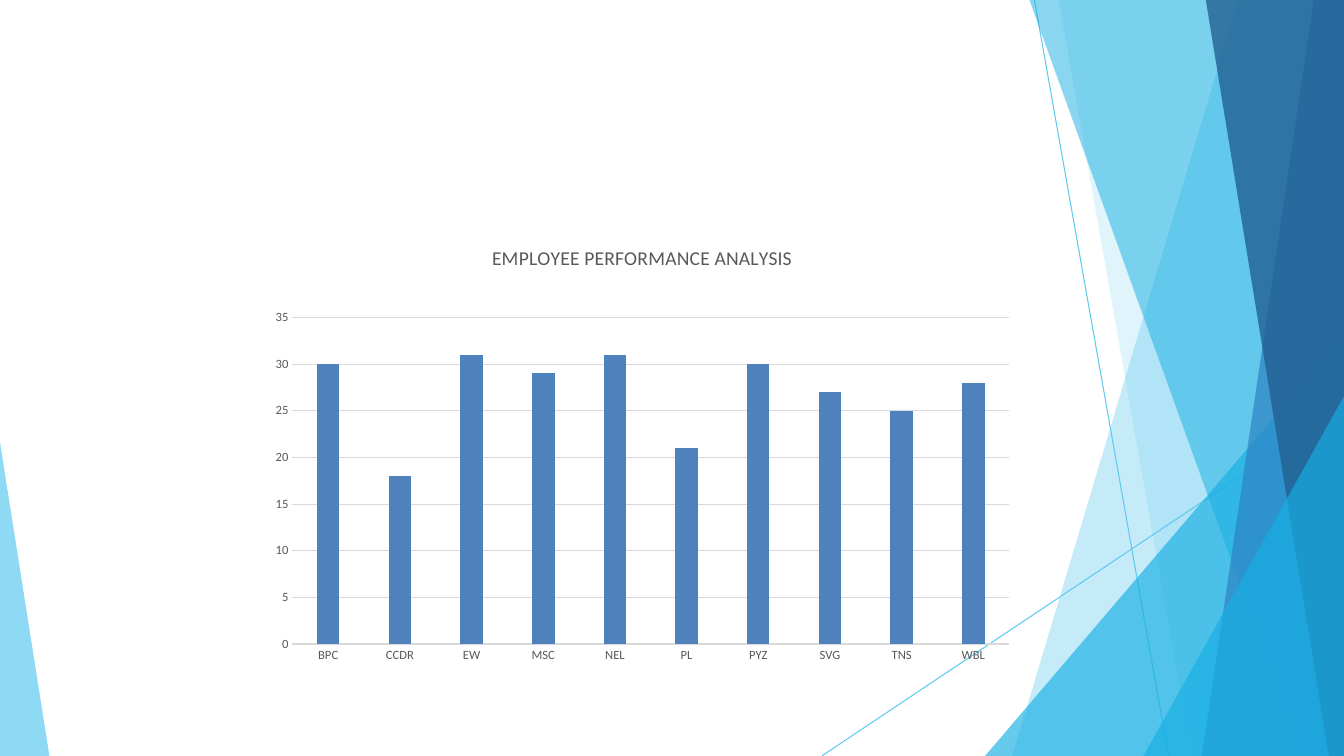
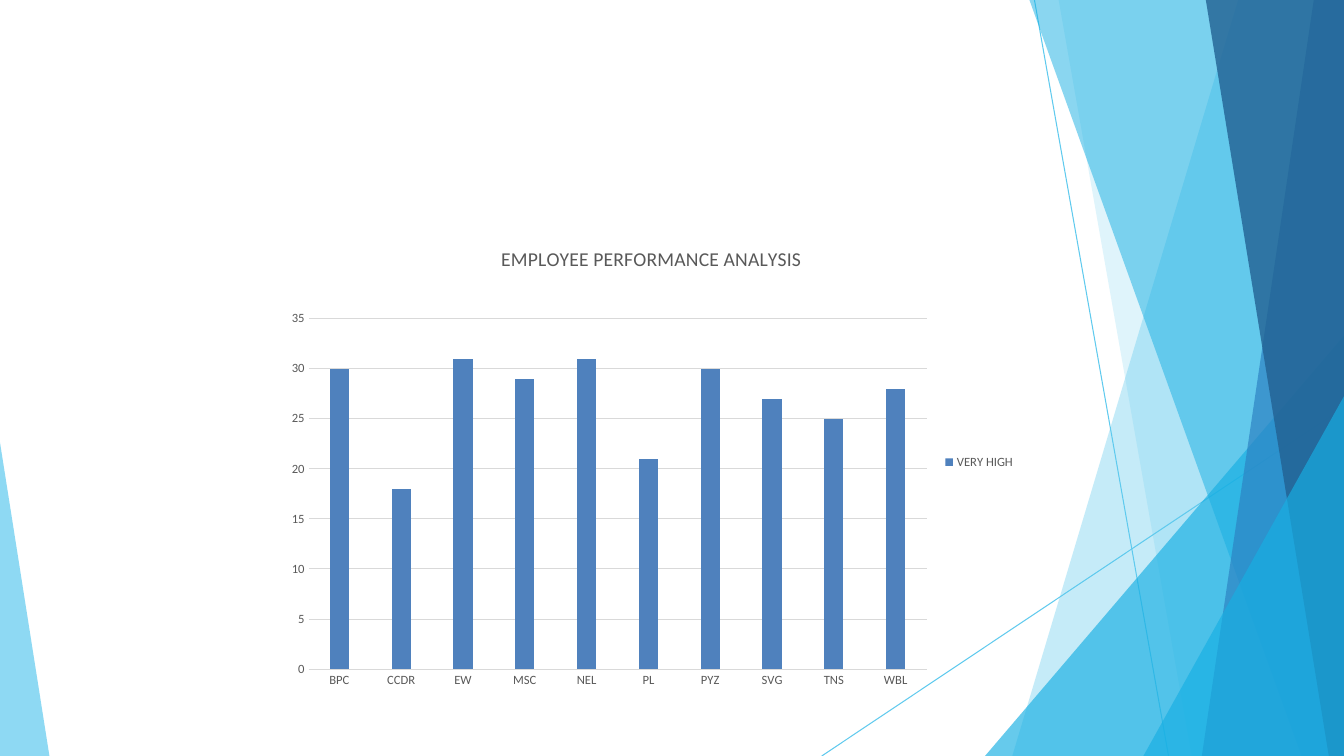
from dataclasses import dataclass

import pptx
import pptx.chart.data
import pptx.dml.color
import pptx.enum.chart
import pptx.enum.shapes
import pptx.oxml.ns
import pptx.oxml.xmlchemy
import pptx.util

Inches = pptx.util.Inches
Pt = pptx.util.Pt
qn = pptx.oxml.ns.qn
OxmlElement = pptx.oxml.xmlchemy.OxmlElement


@dataclass(frozen=True)
class Theme:
    font: str = "Calibri"
    sky: str = "5FCAEE"
    cyan: str = "17AFE3"
    blue: str = "2D83C3"
    navy: str = "226192"
    bar: str = "4F81BD"
    text: str = "595959"
    grid: str = "D9D9D9"
    title_size: int = 14
    label_size: int = 9
    line_width: float = 0.75


THEME = Theme()
W, H = 13.33, 7.5

RAYS = [((10.26, 0), (11.59, H)), ((W, 4.04), (8.15, H))]
FACETS = [  # colour, opacity in percent, corners
    (THEME.sky, 36, [(W, 0), (12.28, 0), (10.04, H), (W, H)]),
    (THEME.sky, 20, [(W, 0), (10.5, 0), (11.82, H), (W, H)]),
    (THEME.cyan, 66, [(W, 3.33), (9.77, H), (W, H)]),
    (THEME.cyan, 50, [(W, 0), (10.21, 0), (12.91, H), (W, H)]),
    (THEME.blue, 70, [(W, 0), (13.03, 0), (11.92, H), (W, H)]),
    (THEME.navy, 80, [(W, 0), (11.96, 0), (13.18, H), (W, H)]),
    (THEME.cyan, 66, [(W, 3.93), (11.34, H), (W, H)]),
    (THEME.sky, 70, [(0, 4.39), (0, H), (0.49, H)]),
]

TITLE = "EMPLOYEE PERFORMANCE ANALYSIS"
SCORES = {"BPC": 30, "CCDR": 18, "EW": 31, "MSC": 29, "NEL": 31,
          "PL": 21, "PYZ": 30, "SVG": 27, "TNS": 25, "WBL": 28}


def rgb(value):
    return pptx.dml.color.RGBColor.from_string(value)


def style_line(line, color):
    line.color.rgb = rgb(color)
    line.width = Pt(THEME.line_width)


def style_font(font, size):
    font.name = THEME.font
    font.size = Pt(size)
    font.bold = False
    font.color.rgb = rgb(THEME.text)


def add_ray(slide, start, end):
    ends = [Inches(v) for v in (*start, *end)]
    ray = slide.shapes.add_connector(
        pptx.enum.shapes.MSO_CONNECTOR.STRAIGHT, *ends)
    style_line(ray.line, THEME.sky)
    ray.element.spPr.append(OxmlElement("a:effectLst"))
    return ray


def add_facet(slide, color, opacity, corners):
    points = [(Inches(x), Inches(y)) for x, y in corners]
    builder = slide.shapes.build_freeform(*points[0])
    builder.add_line_segments(points[1:], close=True)
    sp = builder.convert_to_shape()
    sp.shadow.inherit = False
    sp.line.fill.background()
    sp.fill.solid()
    sp.fill.fore_color.rgb = rgb(color)
    alpha = OxmlElement("a:alpha")
    alpha.set("val", str(opacity * 1000))
    next(sp.element.iter(qn("a:srgbClr"))).append(alpha)
    return sp


def add_backdrop(slide):
    """Draw the facets and move them to the layout, so every slide shows them."""
    shapes = [add_ray(slide, *ray) for ray in RAYS]
    shapes += [add_facet(slide, *facet) for facet in FACETS]
    tree = slide.slide_layout.shapes.element
    for number, sp in enumerate(shapes, start=100):
        next(sp.element.iter(qn("p:cNvPr"))).set("id", str(number))
        tree.append(sp.element)


def place_plot(chart, frame, plot):
    """Fix the inner plot area; both boxes are left, top, width, height."""
    area = next(chart.element.iter(qn("c:plotArea")))
    for old in area.findall(qn("c:layout")):
        area.remove(old)
    layout = OxmlElement("c:layout")
    manual = OxmlElement("c:manualLayout")
    layout.append(manual)
    left, top, width, height = frame
    settings = {
        "layoutTarget": "inner", "xMode": "edge", "yMode": "edge",
        "x": (plot[0] - left) / width, "y": (plot[1] - top) / height,
        "w": plot[2] / width, "h": plot[3] / height,
    }
    for tag, value in settings.items():
        node = OxmlElement(f"c:{tag}")
        node.set("val", str(value))
        manual.append(node)
    area.insert(0, layout)


def style_axes(chart):
    for axis in (chart.category_axis, chart.value_axis):
        axis.major_tick_mark = pptx.enum.chart.XL_TICK_MARK.NONE
        axis.minor_tick_mark = pptx.enum.chart.XL_TICK_MARK.NONE
        style_font(axis.tick_labels.font, THEME.label_size)
    style_line(chart.category_axis.format.line, THEME.grid)
    values = chart.value_axis
    values.minimum_scale, values.maximum_scale, values.major_unit = 0, 35, 5
    values.format.line.fill.background()
    values.has_major_gridlines = True
    style_line(values.major_gridlines.format.line, THEME.grid)


def add_legend(chart):
    chart.has_legend = True
    chart.legend.position = pptx.enum.chart.XL_LEGEND_POSITION.RIGHT
    chart.legend.include_in_layout = False
    style_font(chart.legend.font, THEME.label_size)


def add_score_chart(slide, frame, plot, series_name, legend=False):
    data = pptx.chart.data.CategoryChartData()
    data.categories = list(SCORES)
    data.add_series(series_name, list(SCORES.values()))
    chart = slide.shapes.add_chart(
        pptx.enum.chart.XL_CHART_TYPE.COLUMN_CLUSTERED,
        *[Inches(v) for v in frame], data).chart
    style_font(chart.font, THEME.label_size)

    chart.has_title = True
    p = chart.chart_title.text_frame.paragraphs[0]
    p.text = TITLE
    style_font(p.runs[0].font, THEME.title_size)

    bars = chart.plots[0]
    bars.vary_by_categories = False
    bars.gap_width = 219
    bars.overlap = -27
    fill = bars.series[0].format.fill
    fill.solid()
    fill.fore_color.rgb = rgb(THEME.bar)

    style_axes(chart)
    place_plot(chart, frame, plot)
    chart.has_legend = False
    if legend:
        add_legend(chart)


def main():
    prs = pptx.Presentation()
    prs.slide_width, prs.slide_height = Inches(W), Inches(H)
    blank = prs.slide_layouts[6]

    s = prs.slides.add_slide(blank)
    add_backdrop(s)
    add_score_chart(s, (2.58, 2.25, 7.58, 4.42), (2.9, 3.15, 7.11, 3.24),
                    "Series 1")

    s = prs.slides.add_slide(blank)
    add_score_chart(s, (2.75, 2.25, 7.42, 4.67), (3.06, 3.16, 6.13, 3.48),
                    "VERY HIGH", legend=True)

    prs.save("out.pptx")


if __name__ == "__main__":
    main()
